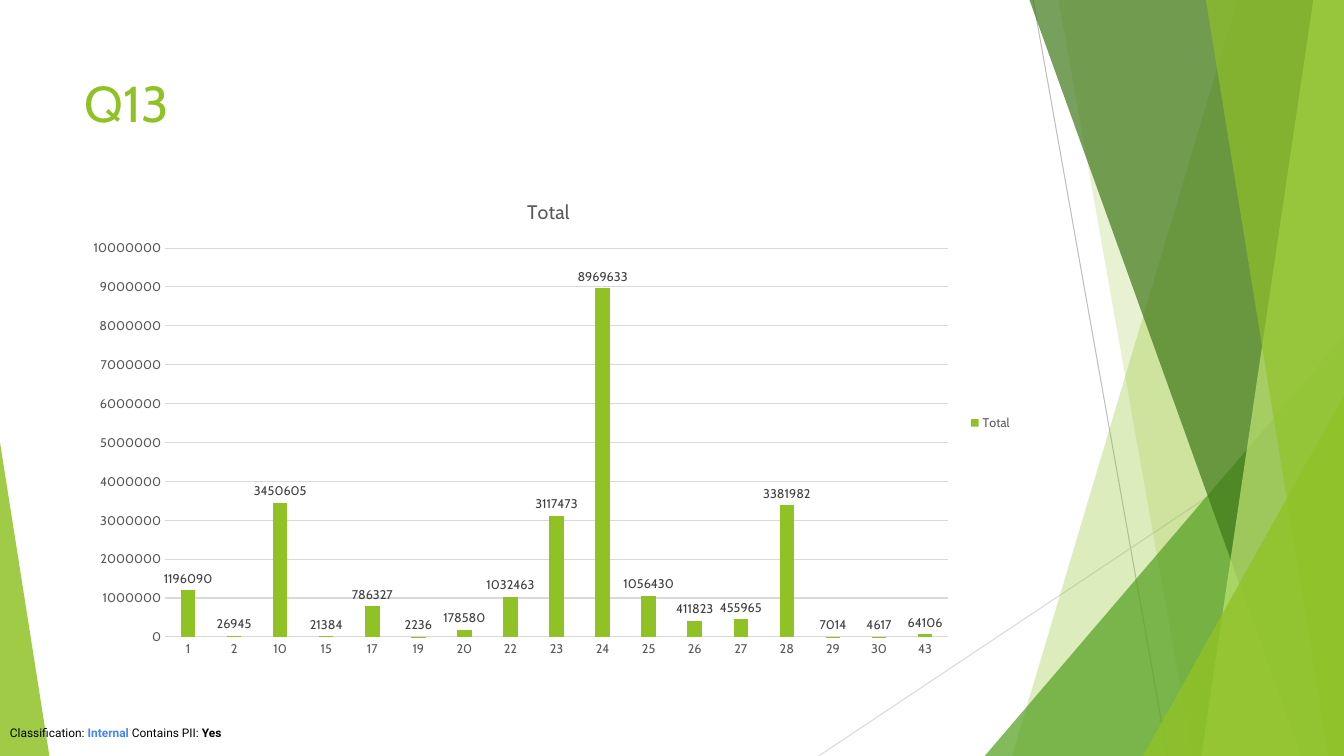
from dataclasses import dataclass

from lxml import etree
from pptx import Presentation
from pptx.chart.data import CategoryChartData
from pptx.dml.color import RGBColor
from pptx.enum.chart import XL_CHART_TYPE, XL_LABEL_POSITION, XL_LEGEND_POSITION, XL_TICK_MARK
from pptx.enum.shapes import MSO_CONNECTOR, MSO_SHAPE
from pptx.enum.text import MSO_ANCHOR, PP_ALIGN
from pptx.oxml.ns import qn
from pptx.util import Pt

COLUMNS = XL_CHART_TYPE.COLUMN_CLUSTERED
OUTSIDE_END = XL_LABEL_POSITION.OUTSIDE_END
LEGEND_RIGHT = XL_LEGEND_POSITION.RIGHT
NO_TICK = XL_TICK_MARK.NONE
STRAIGHT = MSO_CONNECTOR.STRAIGHT
TRIANGLE = MSO_SHAPE.ISOSCELES_TRIANGLE
TOP, MIDDLE = MSO_ANCHOR.TOP, MSO_ANCHOR.MIDDLE
LEFT = PP_ALIGN.LEFT


@dataclass(frozen=True)
class Theme:
    """Colours, fonts and type sizes of the deck."""
    lime: str = "90C226"
    green: str = "54A021"
    forest: str = "3F7819"
    pale: str = "C0E474"
    rule: str = "D9D9D9"
    dark_rule: str = "BFBFBF"
    axis_text: str = "595959"
    label_text: str = "404040"
    black: str = "000000"
    blue: str = "4285F4"
    body_font: str = "Cabin"
    footer_font: str = "Roboto"
    title_size: float = 36
    chart_title_size: float = 14
    chart_size: float = 9
    footer_size: float = 8.5
    line_width: float = 0.75


@dataclass(frozen=True)
class Box:
    """A rectangle in points."""
    left: float
    top: float
    width: float
    height: float

    @property
    def right(self):
        """Return the right edge."""
        return self.left + self.width

    @property
    def bottom(self):
        """Return the bottom edge."""
        return self.top + self.height

    def lengths(self):
        """Return the rectangle as slide lengths."""
        return Pt(self.left), Pt(self.top), Pt(self.width), Pt(self.height)


THEME = Theme()
PAGE = Box(0, 0, 960, 540)
TITLE_BOX = Box(53.3, 48, 676.8, 62.6)
CHART_BOX = Box(53.3, 128.2, 676.8, 347.8)
FOOTER_BOX = Box(0, 514.8, 960, 17.3)
BLEED = 0.67

TOTALS = {
    "1": 1196090, "2": 26945, "10": 3450605, "15": 21384, "17": 786327,
    "19": 2236, "20": 178580, "22": 1032463, "23": 3117473, "24": 8969633,
    "25": 1056430, "26": 411823, "27": 455965, "28": 3381982, "29": 7014,
    "30": 4617, "43": 64106,
}


def style_font(font, size, color, name=THEME.body_font, bold=False):
    """Set the size, colour, face and weight of a font."""
    font.size, font.name, font.bold = Pt(size), name, bold
    font.color.rgb = RGBColor.from_string(color)


def style_line(line, color):
    """Give a line the thin rule style."""
    line.width = Pt(THEME.line_width)
    line.color.rgb = RGBColor.from_string(color)


def paint(shape, color, opacity):
    """Fill a shape with a translucent colour and no outline."""
    shape.shadow.inherit = False
    shape.line.fill.background()
    shape.fill.solid()
    shape.fill.fore_color.rgb = RGBColor.from_string(color)
    swatch = shape.fill._xPr.find(".//" + qn("a:srgbClr"))
    etree.SubElement(swatch, qn("a:alpha")).set("val", str(opacity * 1000))


def add_rule(page, start, end, color):
    """Draw a thin straight rule between two points."""
    rule = page.shapes.add_connector(STRAIGHT, *map(Pt, start + end))
    style_line(rule.line, color)
    etree.SubElement(rule._element.spPr, qn("a:effectLst"))


def add_band(page, box, top_x, bottom_x, color, opacity):
    """Fill from a slanted edge to the right side of the box."""
    top = box.top - BLEED
    corners = [(box.right, top), (box.right, box.bottom), (box.left + bottom_x, box.bottom)]
    builder = page.shapes.build_freeform(Pt(box.left + top_x), Pt(top))
    builder.add_line_segments([(Pt(x), Pt(y)) for x, y in corners])
    paint(builder.convert_to_shape(), color, opacity)


def add_wedge(page, box, apex, color, opacity):
    """Draw a triangle whose apex sits at a share of the box width."""
    wedge = page.shapes.add_shape(TRIANGLE, *box.lengths())
    wedge.adjustments[0] = apex
    paint(wedge, color, opacity)


def add_corner_wedge(page, box, width, height, color, opacity):
    """Draw a wedge in the bottom right corner of the box."""
    corner = Box(box.right - width, box.bottom - height, width, height)
    add_wedge(page, corner, 1, color, opacity)


def add_backdrop(page, box):
    """Layer the rules and green facets along the page edges."""
    add_rule(page, (box.left + 738, box.top), (box.left + 834, box.bottom), THEME.dark_rule)
    add_rule(page, (box.right, box.top + 290), (box.left + 584.8, box.bottom), THEME.rule)
    facets = [
        (add_band, 884.2, 722.9, THEME.lime, 30),
        (add_band, 756, 851.8, THEME.lime, 20),
        (add_corner_wedge, 256.6, 300, THEME.green, 72),
        (add_band, 735.1, 929.5, THEME.forest, 70),
        (add_band, 938.2, 858.2, THEME.pale, 70),
        (add_band, 861.3, 949, THEME.lime, 65),
        (add_corner_wedge, 143.5, 257, THEME.lime, 80),
    ]
    for draw, *values in facets:
        draw(page, box, *values)
    add_wedge(page, Box(box.left, box.bottom - 224, 35.3, 224), 0, THEME.lime, 85)


def add_footer(page, box):
    """Write the classification line."""
    frame = page.shapes.add_textbox(*box.lengths()).text_frame
    frame.word_wrap = True
    frame.vertical_anchor = MIDDLE
    frame.margin_top = frame.margin_bottom = 0
    para = frame.paragraphs[0]
    for text, color, bold in [
        ("Classification: ", THEME.black, False),
        ("Internal", THEME.blue, True),
        (" Contains PII: ", THEME.black, False),
        ("Yes", THEME.black, True),
    ]:
        span = para.add_run()
        span.text = text
        style_font(span.font, THEME.footer_size, color, THEME.footer_font, bold)


def place_title(page, box, text):
    """Move and format the title placeholder."""
    title = page.shapes.title
    title.left, title.top, title.width, title.height = box.lengths()
    title.text_frame.text = text
    title.text_frame.vertical_anchor = TOP
    para = title.text_frame.paragraphs[0]
    para.alignment = LEFT
    style_font(para.font, THEME.title_size, THEME.lime)


def style_axes(chart):
    """Format both axes and the gridlines."""
    for axis in (chart.category_axis, chart.value_axis):
        axis.major_tick_mark = axis.minor_tick_mark = NO_TICK
        style_font(axis.tick_labels.font, THEME.chart_size, THEME.axis_text)
    style_line(chart.category_axis.format.line, THEME.rule)
    values = chart.value_axis
    values.minimum_scale, values.maximum_scale, values.major_unit = 0, 10000000, 1000000
    values.format.line.fill.background()
    style_line(values.major_gridlines.format.line, THEME.rule)


def add_totals_chart(page, box):
    """Plot the totals as labelled columns."""
    data = CategoryChartData()
    data.categories = list(TOTALS)
    data.add_series("Total", list(TOTALS.values()))
    chart = page.shapes.add_chart(COLUMNS, *box.lengths(), data).chart
    style_font(chart.font, THEME.chart_size, THEME.axis_text)
    chart.has_title = True
    chart.chart_title.text_frame.text = "Total"
    heading = chart.chart_title.text_frame.paragraphs[0]
    style_font(heading.font, THEME.chart_title_size, THEME.axis_text)
    chart.has_legend = True
    chart.legend.position = LEGEND_RIGHT
    chart.legend.include_in_layout = False
    style_font(chart.legend.font, THEME.chart_size, THEME.axis_text)
    style_axes(chart)
    plot = chart.plots[0]
    plot.gap_width, plot.overlap, plot.vary_by_categories = 219, -27, False
    series = plot.series[0]
    series.format.fill.solid()
    series.format.fill.fore_color.rgb = RGBColor.from_string(THEME.lime)
    labels = series.data_labels
    labels.show_value, labels.position = True, OUTSIDE_END
    style_font(labels.font, THEME.chart_size, THEME.label_text)


def main():
    """Build and save the deck."""
    deck = Presentation()
    deck.slide_width, deck.slide_height = Pt(PAGE.width), Pt(PAGE.height)
    page = deck.slides.add_slide(deck.slide_layouts[5])
    add_backdrop(page, PAGE)
    add_footer(page, FOOTER_BOX)
    place_title(page, TITLE_BOX, "Q13")
    add_totals_chart(page, CHART_BOX)
    deck.save("out.pptx")


if __name__ == "__main__":
    main()
